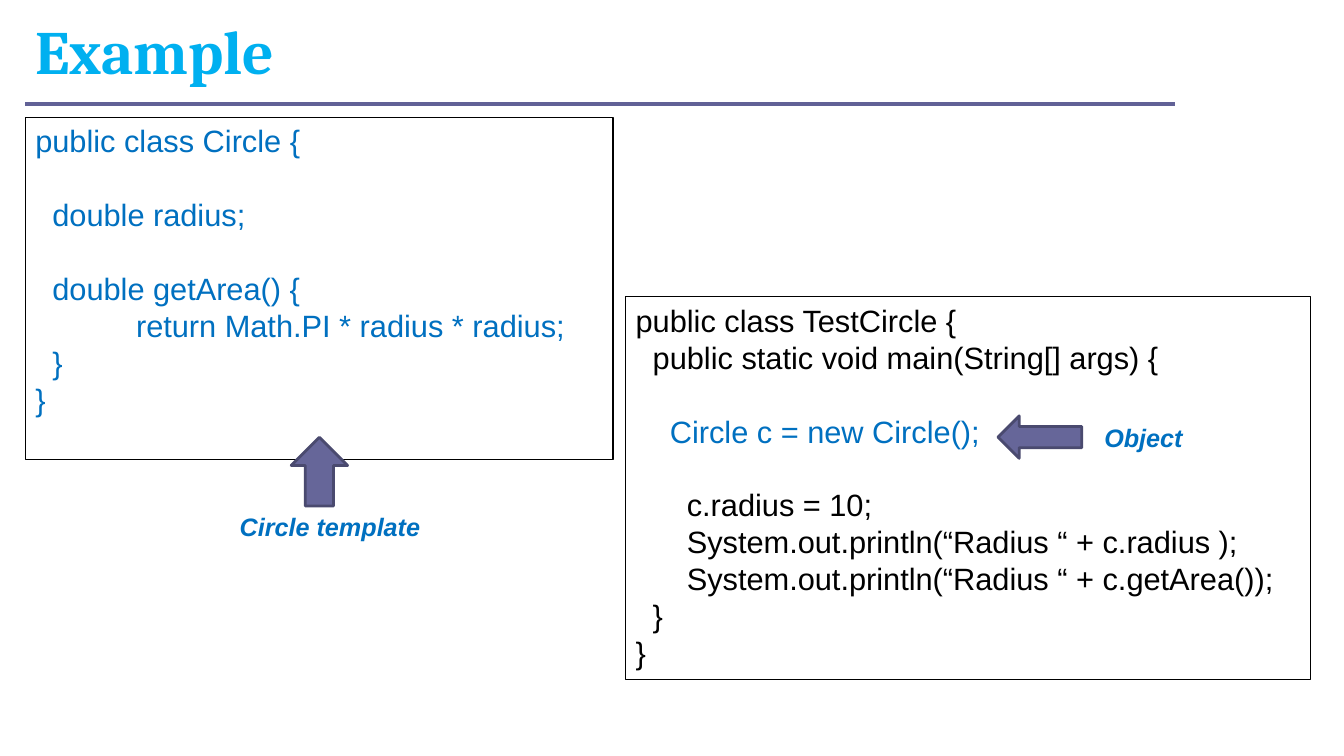
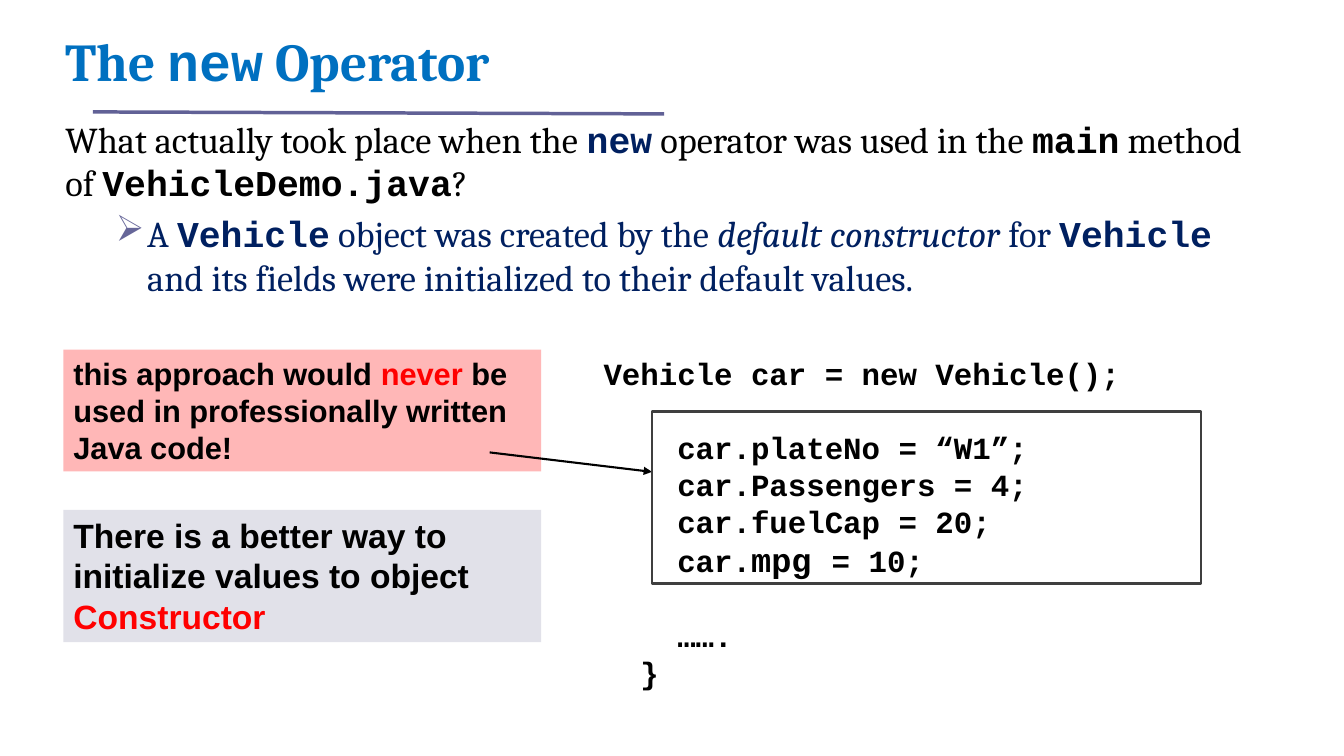
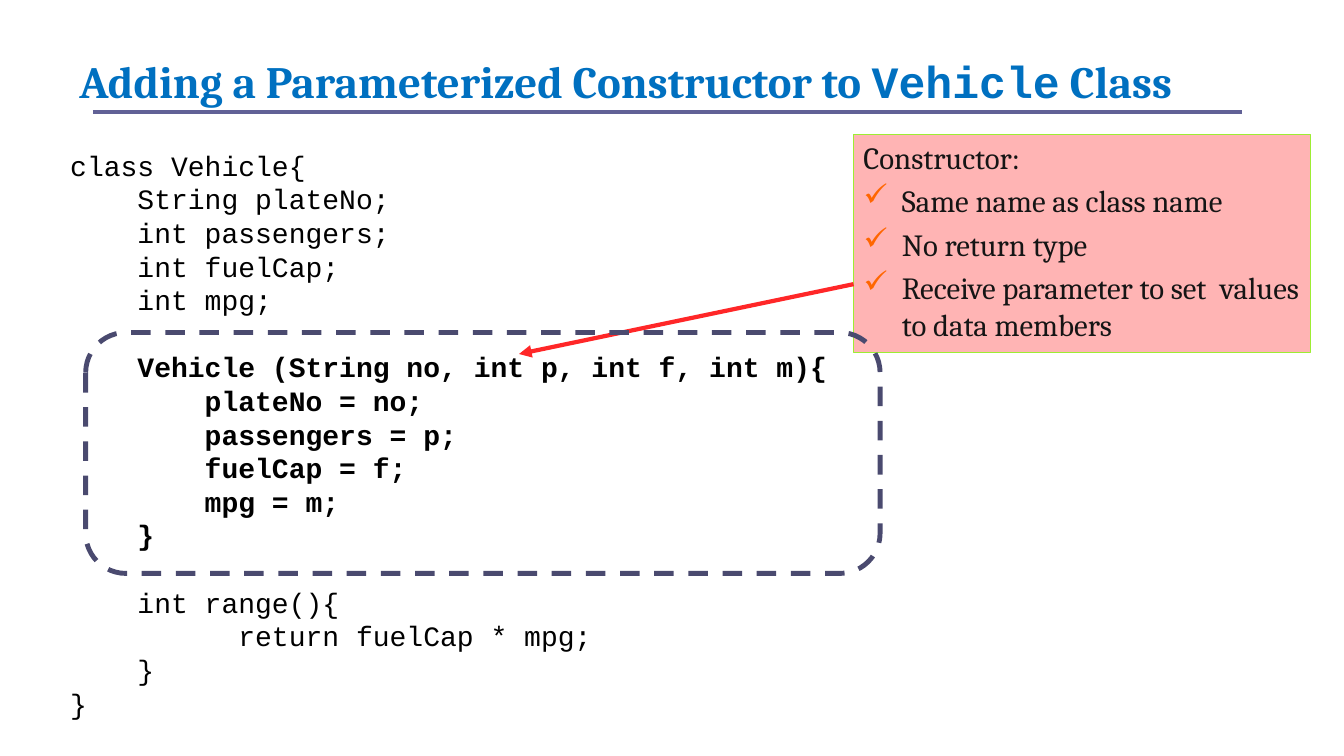
"""Build three slides on classes, the new operator and constructors."""
from dataclasses import dataclass

from lxml import etree
from pptx import Presentation
from pptx.dml.color import RGBColor
from pptx.enum.dml import MSO_LINE
from pptx.enum.shapes import MSO_CONNECTOR, MSO_SHAPE
from pptx.enum.text import MSO_ANCHOR
from pptx.oxml.ns import qn
from pptx.util import Cm, Pt

STRAIGHT = MSO_CONNECTOR.STRAIGHT
RECTANGLE = MSO_SHAPE.RECTANGLE
ROUNDED = MSO_SHAPE.ROUNDED_RECTANGLE
UP_ARROW = MSO_SHAPE.UP_ARROW
LEFT_ARROW = MSO_SHAPE.LEFT_ARROW
BOTTOM = MSO_ANCHOR.BOTTOM
DASH = MSO_LINE.DASH


@dataclass(frozen=True)
class Theme:
    """Colours, fonts and type sizes of the deck."""
    serif: str = "Cambria"
    sans: str = "Arial"
    mono: str = "Courier New"
    symbols: str = "Wingdings"
    black: str = "000000"
    blue: str = "0070C0"
    sky: str = "00B0F0"
    navy: str = "002060"
    red: str = "FF0000"
    arrow_red: str = "FF2728"
    rule: str = "616196"
    purple: str = "666699"
    dark_purple: str = "4A4A6F"
    frame: str = "3F3F3F"
    pink: str = "FFB7B7"
    rose: str = "FFB4B4"
    lavender: str = "E1E1E9"
    lime: str = "9DED33"
    ink: str = "151515"
    orange: str = "FF6600"
    label_size: int = 18
    small_code_size: int = 20
    code_size: int = 22
    large_size: int = 24
    body_size: int = 26
    line_height: float = 1.2
    bullet_gap: float = 0.2


theme = Theme()


def add_text(slide, box, lines, **base):
    """Add a text box; an empty line becomes space before the next paragraph."""
    shape = slide.shapes.add_textbox(*map(Cm, box))
    text_frame = shape.text_frame
    text_frame.word_wrap = True
    gap = 0
    paragraph = None
    for line in lines:
        if not line:
            gap += base["size"] * theme.line_height
            continue
        paragraph = text_frame.add_paragraph() if paragraph else text_frame.paragraphs[0]
        if gap:
            paragraph.space_before = Pt(gap)
            gap = 0
        for text, changes in [(line, {})] if isinstance(line, str) else line:
            style = {**base, **changes}
            run = paragraph.add_run()
            run.text = text
            run.font.name = style["font"]
            run.font.size = Pt(style["size"])
            run.font.color.rgb = RGBColor.from_string(style["color"])
            run.font.bold = style.get("bold", False)
            run.font.italic = style.get("italic", False)
    return shape


def add_line(slide, start, end, color, width, arrow=False):
    """Add a straight line, with an arrowhead at its end if wanted."""
    connector = slide.shapes.add_connector(STRAIGHT, *map(Cm, start + end))
    connector.line.color.rgb = RGBColor.from_string(color)
    connector.line.width = Pt(width)
    properties = connector.element.spPr
    if arrow:
        etree.SubElement(properties.find(qn("a:ln")), qn("a:tailEnd"), type="triangle")
    etree.SubElement(properties, qn("a:effectLst"))


presentation = Presentation()
presentation.slide_width = Cm(33.87)
presentation.slide_height = Cm(19.05)

mono = {"font": theme.mono}
mono_bold = {"font": theme.mono, "bold": True}
title_specs = [
    ([("Example", {})], (0.64, 0.61, 21.59, 1.7), 44, theme.sky,
     (0.64, 2.62), (29.62, 2.62)),
    ([("The ", {}), ("new", mono), (" Operator", {})],
     (1.4, 0.86, 23.5, 1.57), 38, theme.blue, (2.34, 2.82), (16.74, 2.87)),
    ([("Adding a Parameterized Constructor to ", {}), ("Vehicle", mono), (" Class", {})],
     (1.75, 1.27, 29.54, 1.55), 32, theme.blue, (2.34, 2.82), (31.29, 2.82)),
]
slides = []
for title, box, size, color, rule_start, rule_end in title_specs:
    slide = presentation.slides.add_slide(presentation.slide_layouts[6])
    shape = add_text(slide, box, [title], font=theme.serif, size=size, color=color, bold=True)
    shape.text_frame.vertical_anchor = BOTTOM
    shape.text_frame.paragraphs[0].line_spacing = 0.8
    add_line(slide, rule_start, rule_end, theme.rule, 2.5)
    slides.append(slide)
example_slide, operator_slide, constructor_slide = slides

circle_code = """public class Circle {

  double radius;

  double getArea() {
  \treturn Math.PI * radius * radius;
  }
}""".split("\n")
test_code = [
    "public class TestCircle {",
    "  public static void main(String[] args) {",
    "",
    [("    Circle c = new Circle();", {"color": theme.blue})],
    "",
    "      c.radius = 10;",
    "      System.out.println(“Radius “ + c.radius );",
    "      System.out.println(“Radius “ + c.getArea());",
    "  }",
    "}",
]
for box, code, color in [
    ((0.64, 2.95, 14.81, 8.64), circle_code, theme.blue),
    ((15.77, 7.47, 17.25, 9.65), test_code, theme.black),
]:
    shape = add_text(example_slide, box, code, font=theme.sans, size=theme.code_size, color=color)
    shape.line.color.rgb = RGBColor.from_string(theme.black)
    shape.line.width = Pt(0.75)
    for paragraph in shape.text_frame.paragraphs:
        if "\t" in paragraph.text:
            tabs = etree.SubElement(paragraph._p.get_or_add_pPr(), qn("a:tabLst"))
            etree.SubElement(tabs, qn("a:tab"), pos=str(Cm(2.54)), algn="l")

for kind, arrow_box, label, label_box in [
    (UP_ARROW, (7.34, 11.02, 1.42, 1.73), "Circle template", (5.79, 12.75, 5.4, 1.02)),
    (LEFT_ARROW, (25.15, 10.48, 2.11, 1.07), "Object", (27.58, 10.52, 3.2, 1.02)),
]:
    shape = example_slide.shapes.add_shape(kind, *map(Cm, arrow_box))
    shape.shadow.inherit = False
    shape.fill.solid()
    shape.fill.fore_color.rgb = RGBColor.from_string(theme.purple)
    shape.line.color.rgb = RGBColor.from_string(theme.dark_purple)
    shape.line.width = Pt(2)
    add_text(example_slide, label_box, [label], font=theme.sans, size=theme.label_size,
             color=theme.blue, bold=True, italic=True)

navy = {"color": theme.navy}
question = [
    ("What actually took place when the ", {}),
    ("new", {**mono_bold, **navy}),
    (" operator was used in the ", {}),
    ("main", mono_bold),
    (" method of ", {}),
    ("VehicleDemo.java", mono_bold),
    ("?", {}),
]
answer = [
    ("A ", navy),
    ("Vehicle", {**mono_bold, **navy}),
    (" object was created by the ", navy),
    ("default constructor", {**navy, "italic": True}),
    (" for ", navy),
    ("Vehicle", {**mono_bold, **navy}),
    (" and its fields were initialized to their default values.", navy),
]
body = add_text(operator_slide, (1.4, 2.82, 30.3, 5.2), [question, answer],
                font=theme.serif, size=theme.body_size, color=theme.black)
vehicle_code = [
    "Vehicle car = new Vehicle();",
    "",
    "    car.plateNo = “W1”;",
    "    car.Passengers = 4;",
    "    car.fuelCap = 20;",
    [("    car.", {}), ("mpg ", {"size": theme.large_size}), ("= 10;", {})],
    "",
    "    …….",
    "  }",
]
add_text(operator_slide, (14.96, 8.81, 17.17, 9.65), vehicle_code, font=theme.mono,
         size=theme.code_size, color=theme.black, bold=True)

red = {"color": theme.red}
warning = [("this approach would ", {}), ("never", red),
           (" be used in professionally written Java code!", {})]
advice = [("There is a better way to initialize values to object ", {}), ("Constructor", red)]
for top, height, note, size, color in [
    (8.81, 3.07, warning, theme.code_size, theme.pink),
    (12.85, 3.33, advice, theme.large_size, theme.lavender),
]:
    shape = add_text(operator_slide, (1.6, top, 12.04, height), [note], font=theme.sans,
                     size=size, color=theme.black, bold=True)
    shape.fill.solid()
    shape.fill.fore_color.rgb = RGBColor.from_string(color)
add_line(operator_slide, (12.34, 11.4), (16.43, 11.89), theme.black, 1.5, arrow=True)

class_code = """class Vehicle{
    String plateNo;
    int passengers;
    int fuelCap;
    int mpg;

    Vehicle (String no, int p, int f, int m){
        plateNo = no;
        passengers = p;
        fuelCap = f;
        mpg = m;
    }

    int range(){
          return fuelCap * mpg;
    }
}""".split("\n")
shape = add_text(constructor_slide, (1.52, 3.61, 24.46, 14.48), class_code, font=theme.mono,
                 size=theme.small_code_size, color=theme.black)
for paragraph in shape.text_frame.paragraphs[5:11]:
    paragraph.runs[0].font.bold = True

callout_lines = [
    "Constructor:",
    "Same name as class name",
    "No return type",
    "Receive parameter to set  values to data members",
]
callout = add_text(constructor_slide, (21.51, 3.38, 11.51, 5.51), callout_lines,
                   font=theme.serif, size=theme.code_size, color=theme.ink)
callout.fill.solid()
callout.fill.fore_color.rgb = RGBColor.from_string(theme.rose)
callout.line.color.rgb = RGBColor.from_string(theme.lime)
callout.line.width = Pt(0.75)
add_line(constructor_slide, (21.51, 7.16), (13.08, 8.92), theme.arrow_red, 3, arrow=True)

for shape, symbol, color, margin, hanging, size in [
    (body, "Ø", theme.purple, 2.06, 0.79, theme.body_size),
    (callout, "ü", theme.orange, 0.97, 0.97, theme.code_size),
]:
    for paragraph in shape.text_frame.paragraphs[1:]:
        paragraph.space_before = Pt(size * theme.bullet_gap)
        properties = paragraph._p.get_or_add_pPr()
        properties.set("marL", str(Cm(margin)))
        properties.set("indent", str(-Cm(hanging)))
        bullet_color = etree.SubElement(properties, qn("a:buClr"))
        etree.SubElement(bullet_color, qn("a:srgbClr"), val=color)
        etree.SubElement(properties, qn("a:buFont"), typeface=theme.symbols,
                         pitchFamily="2", charset="2")
        etree.SubElement(properties, qn("a:buChar"), char=symbol)

for slide, kind, box, color, width, dash in [
    (operator_slide, RECTANGLE, (16.43, 10.36, 13.84, 4.34), theme.frame, 2, None),
    (constructor_slide, ROUNDED, (2.16, 8.38, 20.02, 6.07), theme.dark_purple, 3.5, DASH),
]:
    shape = slide.shapes.add_shape(kind, *map(Cm, box))
    shape.shadow.inherit = False
    shape.fill.background()
    shape.line.color.rgb = RGBColor.from_string(color)
    shape.line.width = Pt(width)
    shape.line.dash_style = dash

presentation.save("out.pptx")
